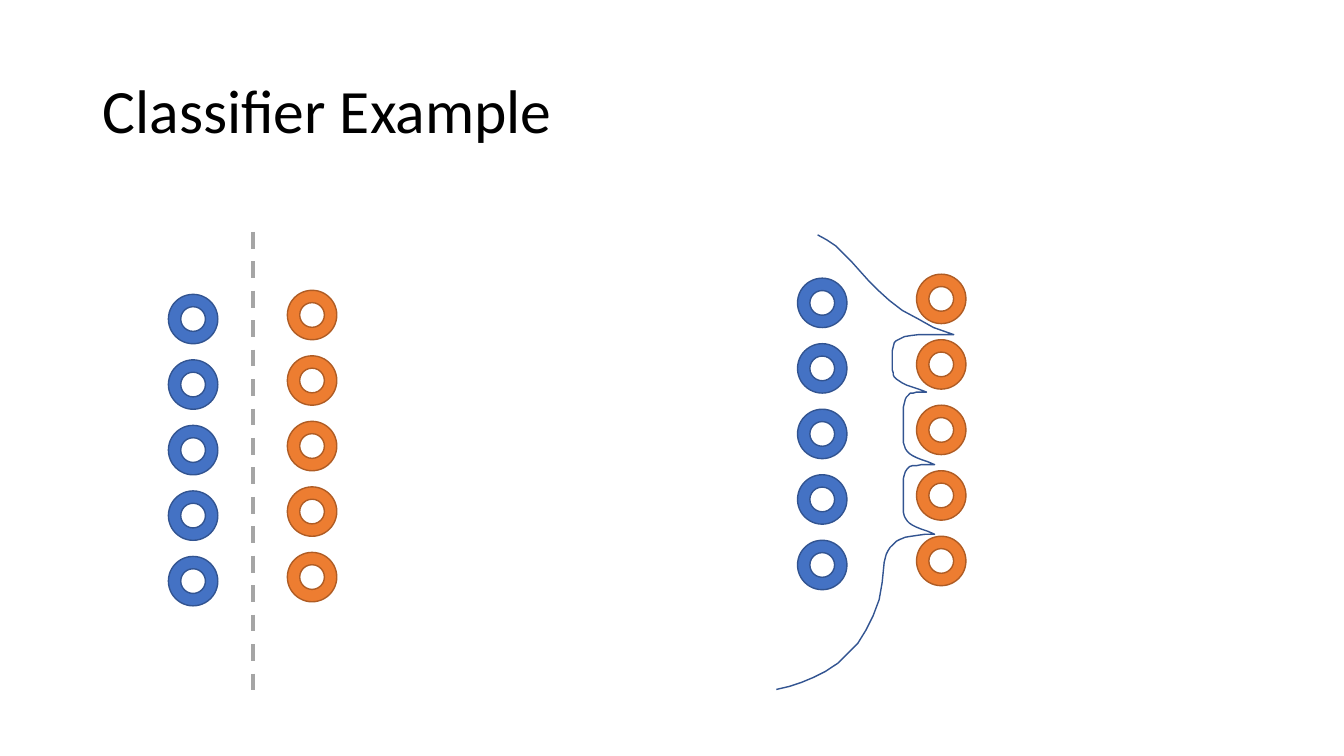
from pptx import Presentation
from pptx.dml.color import RGBColor as RGB
from pptx.enum.dml import MSO_LINE_DASH_STYLE as Dash
from pptx.enum.shapes import MSO_CONNECTOR as Conn, MSO_SHAPE as Kind
from pptx.enum.text import MSO_ANCHOR as Anchor
from pptx.util import Pt
from lxml.etree import SubElement
from pptx.oxml.ns import qn

PX = 9144  # 100 px to the inch
BLUE, NAVY = "4472C4", "325491"
ORANGE, RUST = "ED7D31", "AF5C24"
GRAY, BLACK = "A5A5A5", "000000"

# Rings: rows, size, row step, and where the second column sits
ROWS, RING, STEP = 5, 49, 65
COLUMNS = [(0, 0, BLUE, NAVY), (118, -4, ORANGE, RUST)]

# Wavy boundary: tips poke between the orange rings, bulges pass left of them
START, KNEE, END = (811, 233), (877, 558), (770, 684)
TIPS = [(946, 332), (919, 389), (927, 461), (927, 530)]
BULGES = [885, 896, 896]
SAG = 12  # how far above its lower tip a bulge turns back
STEPS = 12  # straight pieces per curve


def color(text):
    return RGB.from_string(text)


def bezier(a, b, c, d):
    """Points on the cubic curve from a to d, leaving out a."""
    points = []
    for step in range(1, STEPS + 1):
        t = step / STEPS
        u = 1 - t
        points.append(tuple(
            round(u**3 * p + 3 * u * u * t * q + 3 * u * t * t * r + t**3 * s)
            for p, q, r, s in zip(a, b, c, d)))
    return points


def bulge(top, low, left):
    """Swing from one tip out to x = left and back to the next tip."""
    mid = (left, (top[1] + low[1]) // 2)
    upper, lower = (left, top[1]), (left, low[1] - SAG)
    return bezier(top, upper, upper, mid) + bezier(mid, lower, lower, low)


def boundary():
    """Run in to the first tip, around each bulge, then out to the end."""
    points = [START] + bezier(START, (850, 250), (862, 305), TIPS[0])
    for top, low, left in zip(TIPS, TIPS[1:], BULGES):
        points += bulge(top, low, left)
    points += bezier(TIPS[-1], (890, 530), (880, 540), KNEE)
    points += bezier(KNEE, (874, 640), (820, 675), END)
    return points


class Deck:
    font = "Calibri"

    def __init__(self, wide, high):
        self.prs = Presentation()
        self.prs.slide_width = wide * PX
        self.prs.slide_height = high * PX
        self.slide = self.prs.slides.add_slide(self.prs.slide_layouts[6])
        self.shapes = self.slide.shapes

    def stroke(self, item, tint, width):
        item.line.color.rgb = color(tint)
        item.line.width = Pt(width)

    def title(self, x, y, w, h, text, size):
        box = self.shapes.add_textbox(x * PX, y * PX, w * PX, h * PX)
        frame = box.text_frame
        frame.word_wrap = True
        frame.vertical_anchor = Anchor.MIDDLE
        frame.text = text
        para = frame.paragraphs[0]
        para.line_spacing = 0.9
        font = para.runs[0].font
        font.name, font.size = self.font, Pt(size)
        font.color.rgb = color(BLACK)

    def ring(self, group, x, y, fill, edge):
        ring = group.shapes.add_shape(
            Kind.DONUT, x * PX, y * PX, RING * PX, RING * PX)
        ring.shadow.inherit = False
        ring.fill.solid()
        ring.fill.fore_color.rgb = color(fill)
        self.stroke(ring, edge, 1)

    def samples(self, x, y):
        """Group one column of rings per class."""
        group = self.shapes.add_group_shape()
        for dx, dy, fill, edge in COLUMNS:
            for row in range(ROWS):
                self.ring(group, x + dx, y + dy + row * STEP, fill, edge)

    def dashed(self, x1, y1, x2, y2, tint, width):
        line = self.shapes.add_connector(
            Conn.STRAIGHT, x1 * PX, y1 * PX, x2 * PX, y2 * PX)
        self.stroke(line, tint, width)
        line.line.dash_style = Dash.DASH
        SubElement(line._element.spPr, qn("a:effectLst"))

    def trace(self, points, tint, width):
        pen = self.shapes.build_freeform(*points[0], scale=PX)
        pen.add_line_segments(points[1:], close=False)
        curve = pen.convert_to_shape()
        curve.shadow.inherit = False
        curve.fill.background()
        self.stroke(curve, tint, width)


def main():
    deck = Deck(1333, 750)
    deck.title(92, 40, 1150, 145, "Classifier Example", 44)

    # Left: samples split by a straight boundary
    deck.samples(167, 292)
    deck.dashed(251, 230, 251, 689, GRAY, 3)

    # Right: samples split by a wavy boundary
    deck.samples(791, 276)
    deck.trace(boundary(), NAVY, 1)

    deck.prs.save("out.pptx")


if __name__ == "__main__":
    main()
